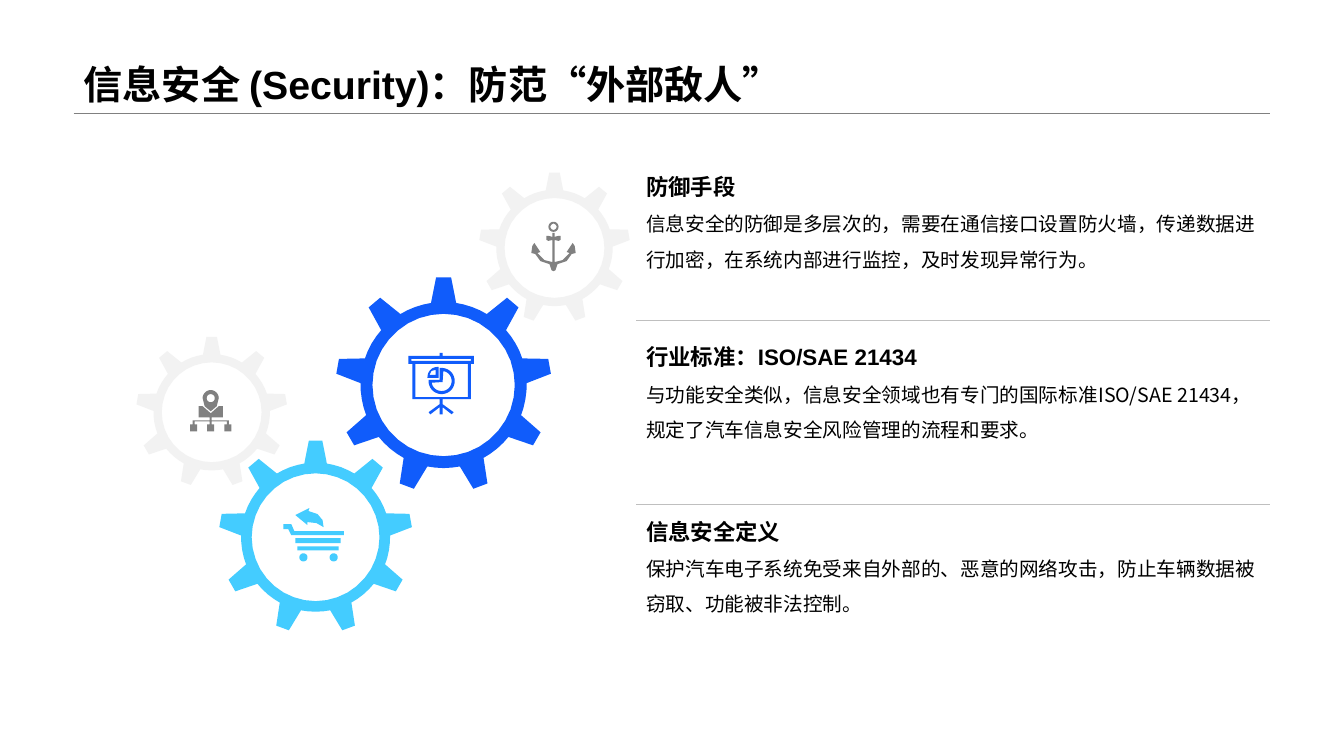
from dataclasses import dataclass
from math import cos, radians, sin

from lxml.etree import SubElement
from pptx import Presentation
from pptx.dml.color import RGBColor
from pptx.enum.text import MSO_ANCHOR, MSO_AUTO_SIZE, PP_ALIGN
from pptx.oxml.ns import qn
from pptx.slide import Slide
from pptx.text.text import _Paragraph as Para
from pptx.util import Inches, Pt

BLACK = RGBColor(0x00, 0x00, 0x00)
GRAY = RGBColor(0x80, 0x80, 0x80)
SILVER = RGBColor(0xBF, 0xBF, 0xBF)
PALE = RGBColor(0xF2, 0xF2, 0xF2)
BLUE = RGBColor(0x10, 0x5C, 0xFB)
CYAN = RGBColor(0x44, 0xCC, 0xFF)

Point = tuple[float, float]
Path = list[Point]


@dataclass
class Gear:
    x: float
    y: float
    size: float
    color: RGBColor
    tint: RGBColor
    icon: list[Path]


@dataclass
class Topic:
    top: float
    head: str
    body: str


@dataclass
class Rule:
    left: float
    top: float
    color: RGBColor


def polar(x: float, y: float, r: float, angle: float) -> Point:
    return x + r * cos(radians(angle)), y + r * sin(radians(angle))


def arc(x: float, y: float, r: float, start: int = 0, end: int = 360) -> Path:
    return [polar(x, y, r, a) for a in range(start, end + 1, 10)]


def box(x: float, y: float, w: float, h: float) -> Path:
    return [(x, y), (x + w, y), (x + w, y + h), (x, y + h)]


def flip(path: Path, axis: float) -> Path:
    return [(2 * axis - x, y) for x, y in reversed(path)]


def board() -> list[Path]:
    leg = [(4.36, 4.01), (4.25, 4.09), (4.27, 4.11), (4.36, 4.04)]
    return [
        box(4.05, 3.53, 0.65, 0.08), box(4.08, 3.56, 0.59, 0.02),
        box(4.36, 3.5, 0.03, 0.03), box(4.36, 3.96, 0.03, 0.15),
        box(4.09, 3.61, 0.58, 0.35), box(4.12, 3.61, 0.52, 0.33),
        leg, flip(leg, 4.375),
        arc(4.38, 3.78, 0.13, -90, 180) + [(4.25, 3.77), (4.36, 3.77), (4.36, 3.65)],
        arc(4.38, 3.78, 0.1, -80, 170) + [(4.39, 3.79)],
        arc(4.34, 3.74, 0.1, 180, 270) + [(4.35, 3.64), (4.35, 3.75), (4.24, 3.75)],
        [(4.26, 3.72), (4.32, 3.72), (4.32, 3.67), (4.28, 3.68)],
    ]


def chart() -> list[Path]:
    paths = [
        arc(2.09, 3.95, 0.08, 180, 360) + [(2.15, 4.03), (2.09, 4.08), (2.03, 4.03)],
        arc(2.09, 3.95, 0.04),
        [(1.97, 4.03), (2.01, 4.03), (2.09, 4.1), (2.17, 4.03),
         (2.21, 4.03), (2.21, 4.14), (1.97, 4.14)],
        box(2.08, 4.14, 0.02, 0.03), box(1.91, 4.17, 0.36, 0.01),
    ]
    for x in (1.92, 2.09, 2.26):
        paths += [box(x - 0.01, 4.18, 0.02, 0.03), box(x - 0.035, 4.21, 0.07, 0.07)]
    return paths


def cart() -> list[Path]:
    return [
        arc(3.01, 5.53, 0.04), arc(3.31, 5.53, 0.04),
        box(2.95, 5.42, 0.41, 0.04), box(2.93, 5.34, 0.45, 0.05),
        [(2.81, 5.2), (2.89, 5.2), (2.92, 5.27), (3.41, 5.27),
         (3.41, 5.31), (2.89, 5.31), (2.86, 5.25), (2.81, 5.25)],
        [(3.07, 5.04), (3.06, 5.07), (3.15, 5.1), (3.2, 5.16), (3.21, 5.23),
         (3.14, 5.19), (3.05, 5.18), (3.05, 5.21), (2.93, 5.11)],
    ]


def anchor() -> list[Path]:
    half = [
        (5.48, 2.31), (5.48, 2.35), (5.44, 2.34), (5.42, 2.34), (5.42, 2.38),
        (5.44, 2.39), (5.48, 2.38), (5.48, 2.6), (5.4, 2.58), (5.33, 2.51),
        (5.36, 2.5), (5.34, 2.47), (5.3, 2.41), (5.28, 2.44), (5.27, 2.51),
        (5.31, 2.52), (5.36, 2.59), (5.45, 2.62), (5.47, 2.68), (5.49, 2.69),
    ]
    return [arc(5.49, 2.25, 0.05), arc(5.49, 2.25, 0.03), half + flip(half, 5.49)]


GEARS = [
    Gear(4.4, 3.82, 1.07, BLUE, BLUE, board()),
    Gear(2.1, 4.09, 0.75, PALE, GRAY, chart()),
    Gear(3.13, 5.33, 0.96, CYAN, CYAN, cart()),
    Gear(5.5, 2.46, 0.75, PALE, GRAY, anchor()),
]
TOPICS = [
    Topic(1.67, "防御手段",
          "信息安全的防御是多层次的，需要在通信接口设置防火墙，传递数据进行加密，"
          "在系统内部进行监控，及时发现异常行为。"),
    Topic(3.36, "行业标准：ISO/SAE 21434",
          "与功能安全类似，信息安全领域也有专门的国际标准ISO/SAE 21434，"
          "规定了汽车信息安全风险管理的流程和要求。"),
    Topic(5.09, "信息安全定义",
          "保护汽车电子系统免受来自外部的、恶意的网络攻击，防止车辆数据被窃取、"
          "功能被非法控制。"),
]
RULES = [Rule(0.73, 1.12, GRAY), Rule(6.31, 3.18, SILVER), Rule(6.31, 5, SILVER)]


def draw(slide: Slide, paths: list[Path], color: RGBColor) -> None:
    scaled = [[(x * 1000, y * 1000) for x, y in path] for path in paths]
    pen = slide.shapes.build_freeform(*scaled[0][0], scale=Inches(1) / 1000)
    pen.add_line_segments(scaled[0][1:])
    for path in scaled[1:]:
        pen.move_to(*path[0])
        pen.add_line_segments(path[1:])
    shape = pen.convert_to_shape()
    shape.shadow.inherit = False
    shape.fill.solid()
    shape.fill.fore_color.rgb = color
    shape.line.fill.background()


def add_gear(slide: Slide, gear: Gear) -> None:
    tooth = [(-8.7, 0.77), (-4, 1), (4, 1), (8.7, 0.77),
             (14, 0.77), (20, 0.77), (26, 0.77)]
    rim = [polar(gear.x, gear.y, gear.size * r, 40 * n - 90 + turn)
           for n in range(9) for turn, r in tooth]
    draw(slide, [rim, arc(gear.x, gear.y, gear.size * 0.66)], gear.color)
    draw(slide, gear.icon, gear.tint)


def style(para: Para, name: str, size: int, bold: bool) -> None:
    font = para.font
    font.name, font.size, font.bold = name, Pt(size), bold
    font.color.rgb = BLACK


def add_text(slide: Slide, top: float, high: float, text: str) -> Para:
    frame = slide.shapes.add_textbox(
        Inches(6.31), Inches(top), Inches(6.29), Inches(high)).text_frame
    frame.word_wrap = True
    frame.auto_size = MSO_AUTO_SIZE.SHAPE_TO_FIT_TEXT
    para = frame.paragraphs[0]
    para.text = text
    return para


def add_topic(slide: Slide, topic: Topic) -> None:
    body = add_text(slide, topic.top + 0.27, 0.77, topic.body)
    body.line_spacing = 1.5
    style(body, "Noto Sans CJK SC", 14, False)
    style(add_text(slide, topic.top, 0.37, topic.head), "Arial", 16, True)


def add_rule(slide: Slide, rule: Rule) -> None:
    line = slide.shapes.add_connector(
        1, Inches(rule.left), Inches(rule.top), Inches(12.6), Inches(rule.top))
    line.line.color.rgb = rule.color
    line.line.width = Pt(0.25)
    SubElement(line._element.spPr, qn("a:effectLst"))


def add_title(slide: Slide, text: str) -> None:
    title = slide.shapes.title
    title.left, title.top = Inches(0.73), Inches(0)
    title.width, title.height = Inches(11.87), Inches(1.12)
    frame = title.text_frame
    frame.auto_size = MSO_AUTO_SIZE.NONE
    frame.vertical_anchor = MSO_ANCHOR.BOTTOM
    para = frame.paragraphs[0]
    para.text = text
    para.alignment = PP_ALIGN.LEFT
    para.line_spacing = 0.9
    style(para, "Arial", 28, True)


def main() -> None:
    deck = Presentation()
    deck.slide_width, deck.slide_height = Inches(13.33), Inches(7.5)
    slide = deck.slides.add_slide(deck.slide_layouts[5])
    add_title(slide, "信息安全 (Security)：防范“外部敌人”")
    for gear in GEARS:
        add_gear(slide, gear)
    for topic in TOPICS:
        add_topic(slide, topic)
    for rule in RULES:
        add_rule(slide, rule)
    deck.save("out.pptx")


if __name__ == "__main__":
    main()
